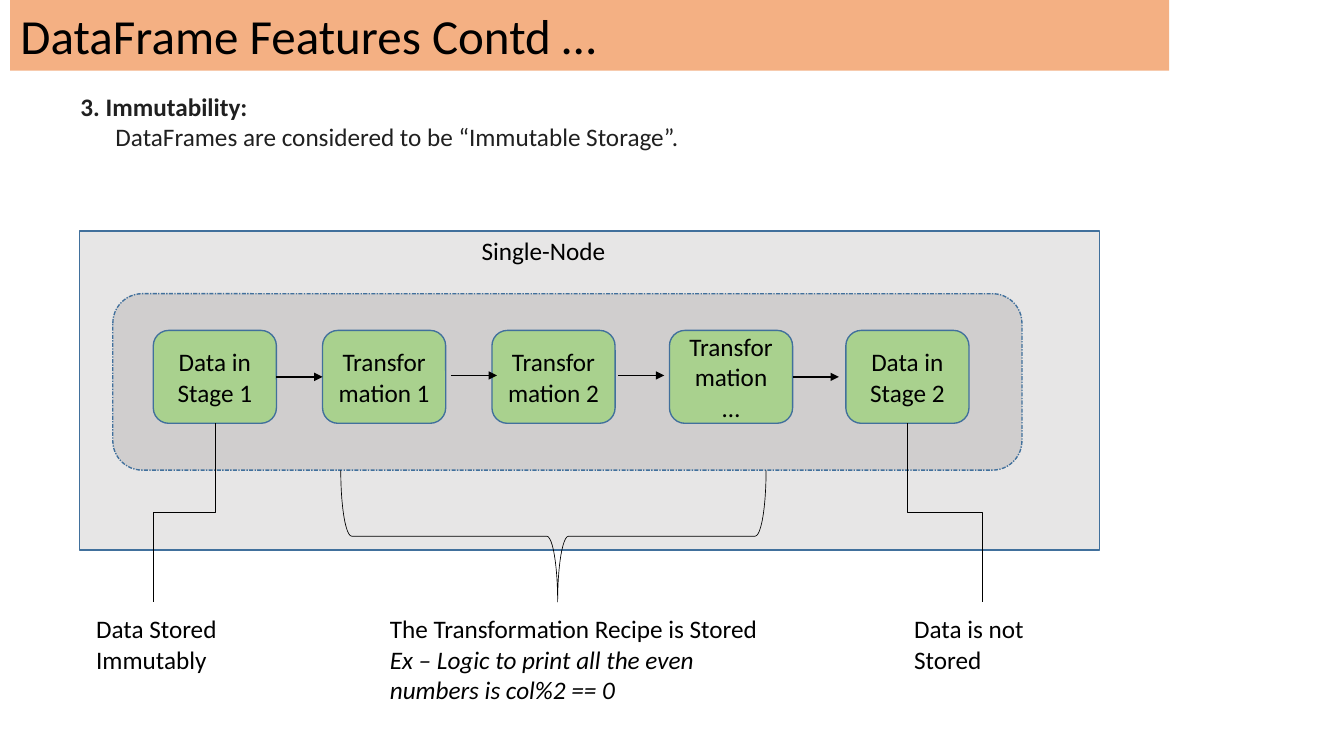
from lxml.etree import SubElement
from pptx import Presentation
from pptx.dml.color import RGBColor
from pptx.enum.shapes import MSO_CONNECTOR, MSO_SHAPE
from pptx.enum.text import MSO_ANCHOR, MSO_AUTO_SIZE, PP_ALIGN
from pptx.oxml.ns import qn
from pptx.util import Pt


def rgb(value):
    return RGBColor.from_string(value)


class Deck:
    font = "Calibri"
    black = "000000"
    edge = "41709C"

    def __init__(self, prs):
        self.prs = prs
        self.s = prs.slides.add_slide(prs.slide_layouts[5])

    def set_lines(self, tf, lines, size=18, color=black, align=PP_ALIGN.LEFT,
                  anchor=MSO_ANCHOR.TOP, insets=(1, 2, 0, 0)):
        tf.word_wrap = True
        tf.auto_size = MSO_AUTO_SIZE.NONE
        tf.vertical_anchor = anchor
        tf.margin_left, tf.margin_top, tf.margin_right, tf.margin_bottom = map(Pt, insets)
        for i, (text, style) in enumerate(lines):
            p = tf.add_paragraph() if i else tf.paragraphs[0]
            p.alignment = align
            p.line_spacing = 1.0
            p.space_before = Pt(0)
            if "indent" in style:
                p._p.get_or_add_pPr().set("marL", str(Pt(style["indent"])))
            r = p.add_run()
            r.text = text
            r.font.name = self.font
            r.font.size = Pt(size)
            r.font.bold = style.get("bold", False)
            r.font.italic = style.get("italic", False)
            r.font.color.rgb = rgb(color)

    def title(self, text, box, fill):
        sp = self.s.shapes.title
        sp.left, sp.top, sp.width, sp.height = map(Pt, box)
        sp.fill.solid()
        sp.fill.fore_color.rgb = rgb(fill)
        self.set_lines(sp.text_frame, [(text, {})], size=35,
                       anchor=MSO_ANCHOR.MIDDLE, insets=(7.4, 0, 0, 0))

    def text(self, box, lines, color=black):
        sp = self.s.shapes.add_textbox(*map(Pt, box))
        self.set_lines(sp.text_frame, lines, color=color)

    def shape(self, kind, box, fill=None, line=edge, width=0.96, dash=None):
        sp = self.s.shapes.add_shape(kind, *map(Pt, box))
        return self.outline(sp, fill, line, width, dash)

    def outline(self, sp, fill, line, width, dash=None):
        sp.shadow.inherit = False
        if fill:
            sp.fill.solid()
            sp.fill.fore_color.rgb = rgb(fill)
        else:
            sp.fill.background()
        sp.line.color.rgb = rgb(line)
        sp.line.width = Pt(width)
        if dash:
            SubElement(sp._element.spPr.find(qn("a:ln")), qn("a:prstDash"), val=dash)
        return sp

    def node(self, box, words):
        sp = self.shape(MSO_SHAPE.ROUNDED_RECTANGLE, box, "A9D18E")
        self.set_lines(sp.text_frame, [(word, {}) for word in words], align=PP_ALIGN.CENTER,
                       anchor=MSO_ANCHOR.MIDDLE, insets=(0, 0, 0, 0))
        return sp

    def arrow(self, x, y, length, source=None, target=None):
        c = self.s.shapes.add_connector(MSO_CONNECTOR.STRAIGHT, Pt(x), Pt(y), Pt(x + length), Pt(y))
        if source is not None:
            c.begin_connect(source, 3)
        if target is not None:
            c.end_connect(target, 1)
        c.line.color.rgb = rgb(self.black)
        c.line.width = Pt(1)
        properties = c._element.spPr
        SubElement(properties.find(qn("a:ln")), qn("a:tailEnd"), type="triangle")
        SubElement(properties, qn("a:effectLst"))

    def polyline(self, points):
        start, *rest = [(Pt(x), Pt(y)) for x, y in points]
        builder = self.s.shapes.build_freeform(*start)
        builder.add_line_segments(rest, close=False)
        self.outline(builder.convert_to_shape(), None, self.black, 0.48)

    def brace(self, left, top, width, height, tip):
        box = (left + (width - height) / 2, top + (height - width) / 2, height, width)
        sp = self.shape(MSO_SHAPE.LEFT_BRACE, box, None, self.black, 0.48)
        sp.rotation = 270
        sp.adjustments[1] = tip


def main():
    prs = Presentation()
    prs.slide_width, prs.slide_height = Pt(960), Pt(540)
    deck = Deck(prs)
    deck.title("DataFrame Features Contd …", (7.2, 0, 828, 50.4), "F4B083")
    deck.text((56.5, 63.4, 430, 45.4), [
        ("3. Immutability:", {"bold": True}),
        ("DataFrames are considered to be “Immutable Storage”.", {"indent": 25}),
    ], "202020")

    deck.shape(MSO_SHAPE.RECTANGLE, (57, 165, 728.6, 228), "E7E6E6")
    deck.shape(MSO_SHAPE.ROUNDED_RECTANGLE, (80.6, 209.8, 649.4, 126), "D0CECE",
               dash="sysDashDot")
    deck.text((343, 166.3, 96, 24), [("Single-Node", {})])

    stages = [
        (109.5, ["Data in", "Stage 1"]),
        (230.4, ["Transfor", "mation 1"]),
        (351.4, ["Transfor", "mation 2"]),
        (478.2, ["Transfor", "mation", "…"]),
        (604.2, ["Data in", "Stage 2"]),
    ]
    top, width, height = 236, 88, 66.4
    nodes = [deck.node((x, top, width, height), words) for x, words in stages]
    middle = top + height / 2
    deck.arrow(197.5, middle, 32.9, nodes[0], nodes[1])
    deck.arrow(322, middle - 1, 33)
    deck.arrow(441.5, middle - 1, 33)
    deck.arrow(566.2, middle, 33, nodes[3])

    bottom, bend, end = top + height, 366, 430
    for x, target in ((153.5, 109.5), (648.2, 701.5)):
        deck.polyline([(x, bottom), (x, bend), (target, bend), (target, end)])
    deck.brace(243.4, 336, 303.8, 94, 0.51)

    deck.text((67.7, 436.3, 94, 45.4), [("Data Stored", {}), ("Immutably", {})])
    deck.text((277.5, 436.3, 266, 67), [
        ("The Transformation Recipe is Stored", {}),
        ("Ex – Logic to print all the even numbers is col%2 == 0", {"italic": True}),
    ])
    deck.text((652, 436.3, 86, 45.4), [("Data is not", {}), ("Stored", {})])
    prs.save("out.pptx")


if __name__ == "__main__":
    main()
